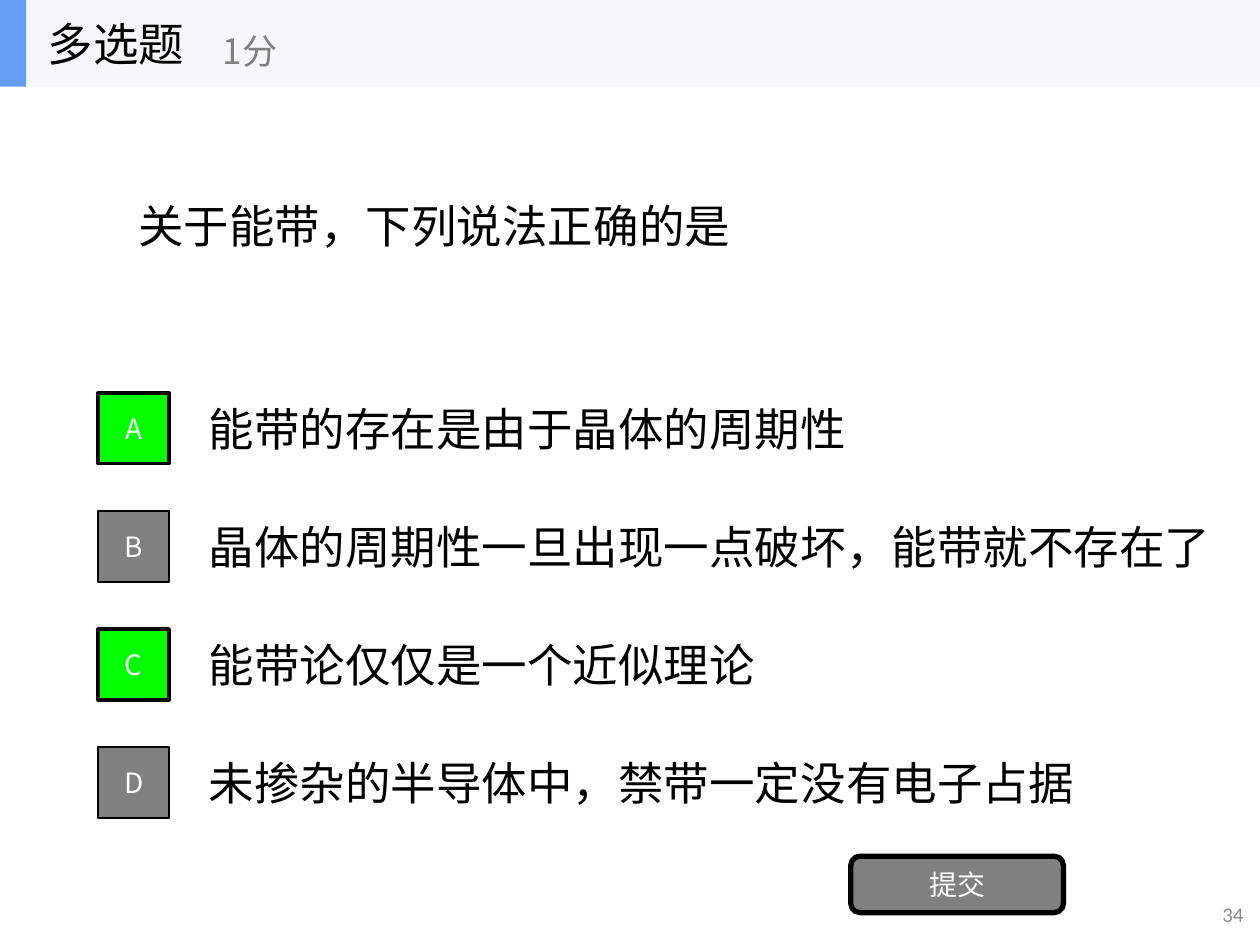
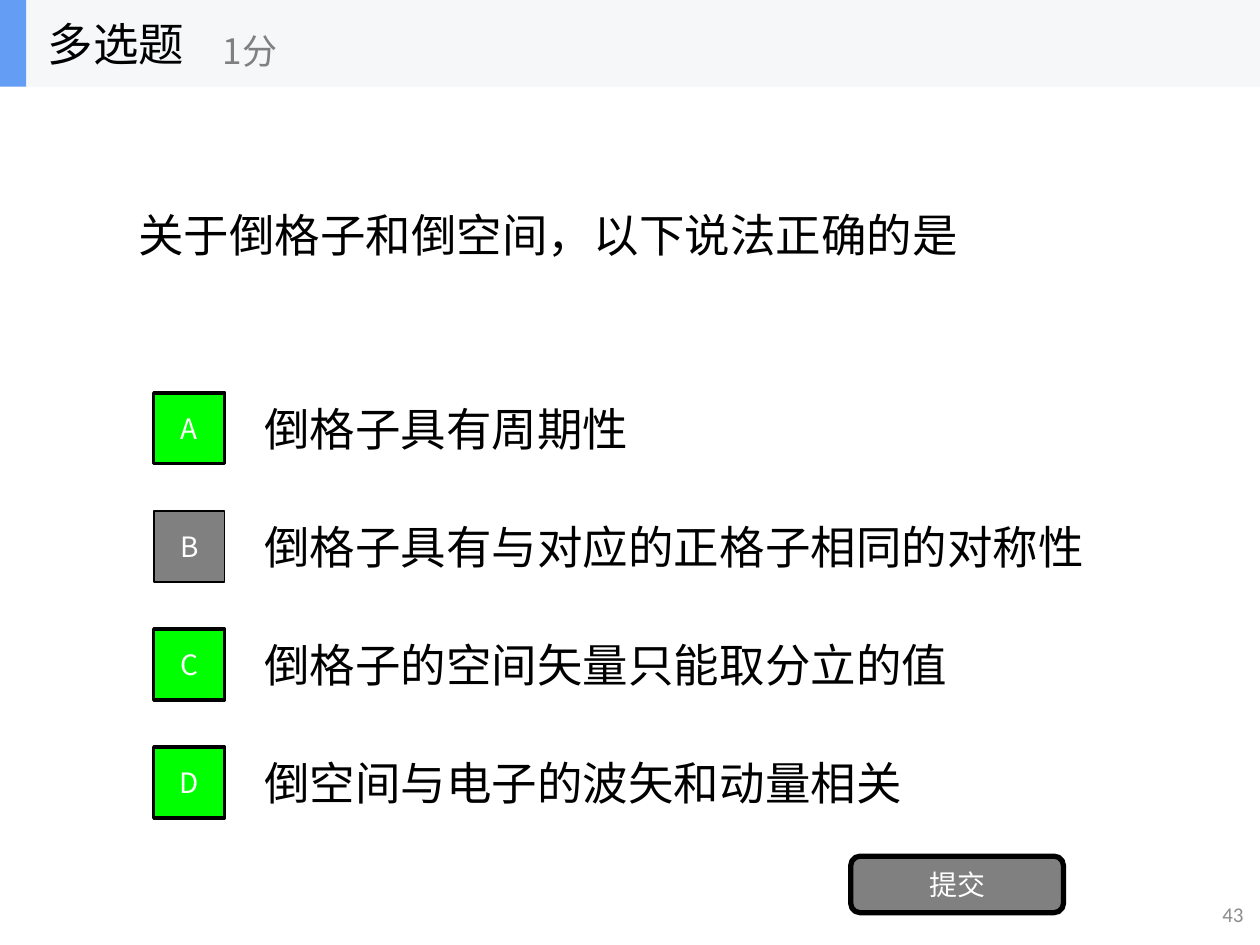
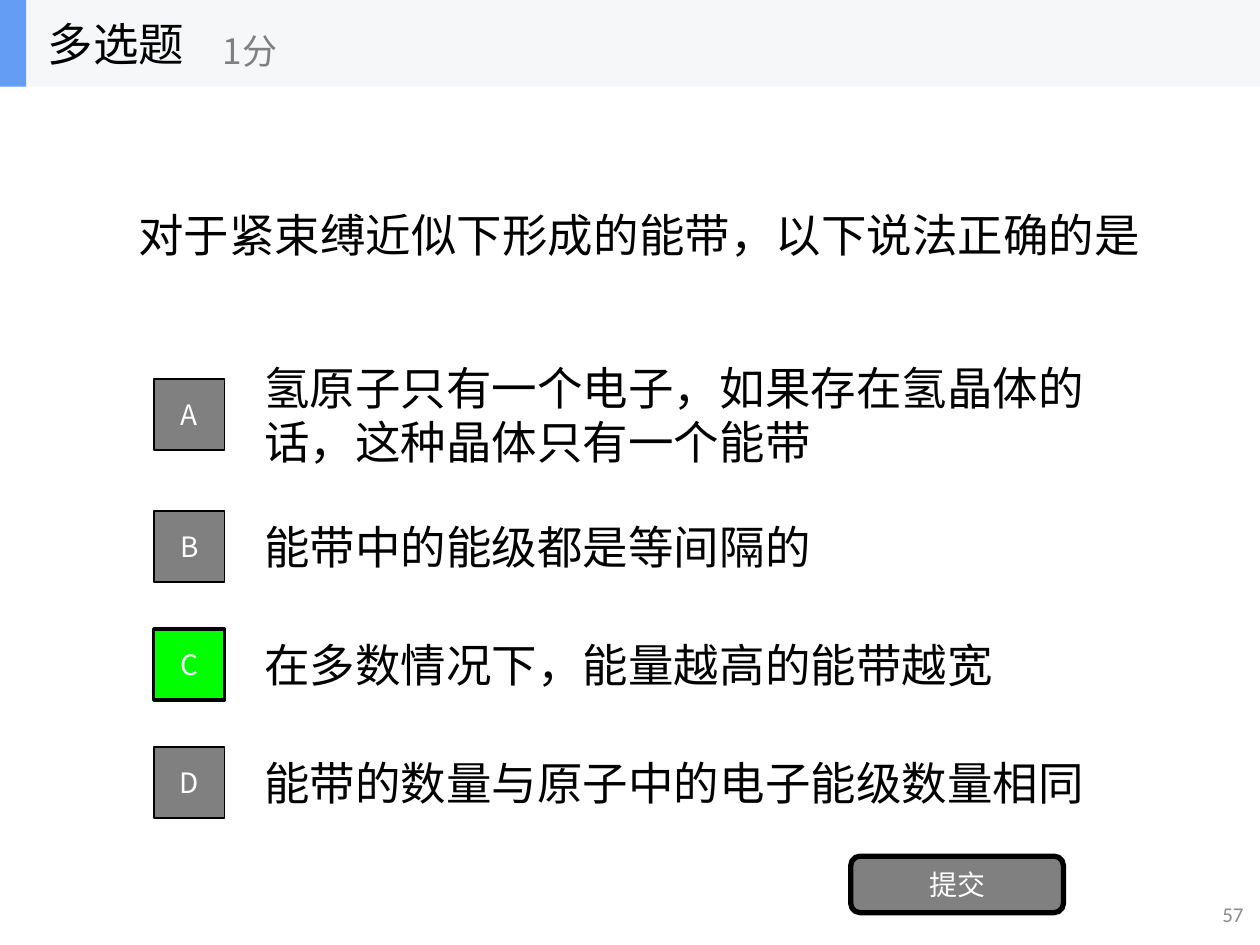
from pptx import Presentation
from pptx.dml.color import RGBColor
from pptx.enum.shapes import MSO_SHAPE as Shape
from pptx.enum.text import MSO_ANCHOR as Anchor, PP_ALIGN as Align
from pptx.oxml.ns import qn
from pptx.util import Cm, Pt
from lxml.etree import SubElement

CJK = "Noto Sans CJK SC"
BLACK, WHITE, GRAY = "000000", "FFFFFF", "808080"
GREEN, BLUE, BAND, NUMBER = "00FF00", "639EF4", "F6F7F8", "8C8C8C"
BAND_HEIGHT = 1.75
FIRST_ROW, ROW_STEP = 7.92, 2.38
KEY_SIZE, OPTION_HEIGHT, OPTION_WIDTH = 1.43, 1.78, 17.78
KEY_TO_OPTION = 1.98


def color(code):
    return RGBColor.from_string(code)


def add_box(shapes, left, top, width, height, text="", *, kind=None, fill=None,
            line=0, size=26, ink=BLACK, font=CJK, align=Align.LEFT):
    area = Cm(left), Cm(top), Cm(width), Cm(height)
    if kind is None:
        box = shapes.add_textbox(*area)
    else:
        box = shapes.add_shape(kind, *area)
        box.shadow.inherit = False
        box.fill.solid()
        box.fill.fore_color.rgb = color(fill)
        if line:
            box.line.color.rgb = color(BLACK)
            box.line.width = Pt(line)
        else:
            box.line.fill.background()
    if text:
        frame = box.text_frame
        frame.word_wrap = True
        frame.vertical_anchor = Anchor.MIDDLE
        para = frame.paragraphs[0]
        para.alignment = align
        span = para.add_run()
        span.text = text
        span.font.size = Pt(size)
        span.font.name = font
        span.font.color.rgb = color(ink)
        SubElement(span.font._element, qn("a:ea"), typeface=font)
    return box


questions = [
    {
        "number": "34",
        "question": "关于能带，下列说法正确的是",
        "place": (1.57, 20.32),
        "key_left": 1.98,
        "first_lift": 0,
        "correct": "AC",
        "options": [
            ("能带的存在是由于晶体的周期性", OPTION_WIDTH),
            ("晶体的周期性一旦出现一点破坏，能带就不存在了", 20.8),
            ("能带论仅仅是一个近似理论", 19.96),
            ("未掺杂的半导体中，禁带一定没有电子占据", 18.9),
        ],
    },
    {
        "number": "43",
        "question": "关于倒格子和倒空间，以下说法正确的是",
        "place": (1.75, 20.32),
        "key_left": 3.1,
        "first_lift": 0,
        "correct": "ACD",
        "options": [
            ("倒格子具有周期性", OPTION_WIDTH),
            ("倒格子具有与对应的正格子相同的对称性", OPTION_WIDTH),
            ("倒格子的空间矢量只能取分立的值", OPTION_WIDTH),
            ("倒空间与电子的波矢和动量相关", OPTION_WIDTH),
        ],
    },
    {
        "number": "57",
        "question": "对于紧束缚近似下形成的能带，以下说法正确的是",
        "place": (1.75, 20.98),
        "key_left": 3.1,
        "first_lift": 0.28,
        "correct": "C",
        "options": [
            ("氢原子只有一个电子，如果存在氢晶体的话，这种晶体只有一个能带", OPTION_WIDTH),
            ("能带中的能级都是等间隔的", OPTION_WIDTH),
            ("在多数情况下，能量越高的能带越宽", OPTION_WIDTH),
            ("能带的数量与原子中的电子能级数量相同", OPTION_WIDTH),
        ],
    },
]

deck = Presentation()
deck.slide_width, deck.slide_height = Cm(25.4), Cm(19.05)

for quiz in questions:
    page = deck.slides.add_slide(deck.slide_layouts[6])
    shapes = page.shapes
    add_box(shapes, 19.6, 17.93, 5.72, 1.01, quiz["number"], size=12, ink=NUMBER,
            font="Calibri", align=Align.RIGHT)
    question_top, question_width = quiz["place"]
    add_box(shapes, 2.54, question_top, question_width, 5.95, quiz["question"])

    for row, (letter, (option, width)) in enumerate(zip("ABCD", quiz["options"])):
        top = FIRST_ROW + row * ROW_STEP
        if row == 0:
            top -= quiz["first_lift"]
        right = letter in quiz["correct"]
        add_box(shapes, quiz["key_left"] + KEY_TO_OPTION,
                top - (OPTION_HEIGHT - KEY_SIZE) / 2, width, OPTION_HEIGHT, option)
        add_box(shapes, quiz["key_left"], top, KEY_SIZE, KEY_SIZE, letter,
                kind=Shape.RECTANGLE, fill=GREEN if right else GRAY,
                line=2 if right else 1, size=16, ink=WHITE, align=Align.CENTER)

    add_box(shapes, 17.15, 17.26, 4.29, 1.14, "提交", kind=Shape.ROUNDED_RECTANGLE,
            fill=GRAY, line=3, size=16, ink=WHITE, align=Align.CENTER)

    header = shapes.add_group_shape().shapes
    add_box(header, 0, 0, 25.4, BAND_HEIGHT, kind=Shape.RECTANGLE, fill=BAND)
    add_box(header, 0, 0, 0.53, BAND_HEIGHT, kind=Shape.RECTANGLE, fill=BLUE)
    add_box(header, 0.71, 0, 5.28, BAND_HEIGHT, "多选题")
    add_box(header, 4.24, 0.3, 6.35, 1.43, "1分", size=20, ink=GRAY)

deck.save("out.pptx")
